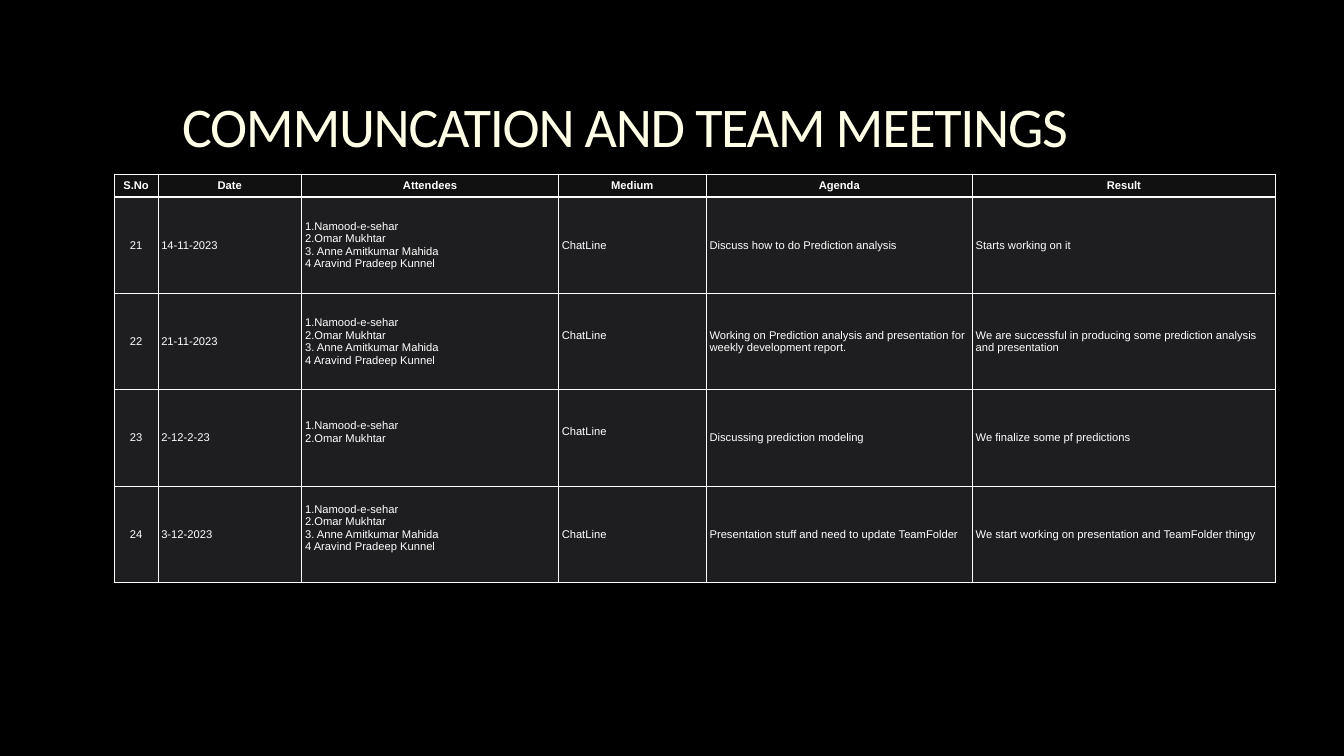
from lxml import etree
from pptx import Presentation, util as u
from pptx.dml.color import RGBColor
from pptx.enum import text
from pptx.oxml.ns import qn

WHITE = "FFFFFF"
COLUMNS = [0.65, 2.14, 3.82, 2.2, 3.96, 4.51]
HEADINGS = ["S.No", "Date", "Attendees", "Medium", "Agenda", "Result"]
PAIR = "1.Namood-e-sehar\n2.Omar Mukhtar"
TEAM = PAIR + "\n3. Anne Amitkumar Mahida\n4 Aravind Pradeep Kunnel"
MEDIUM = "ChatLine"
MEETINGS = [
    ["21", "14-11-2023", TEAM, MEDIUM, "Discuss how to do Prediction analysis",
     "Starts working on it"],
    ["22", "21-11-2023", TEAM, MEDIUM,
     "Working on Prediction analysis and presentation for weekly development report.",
     "We are successful in producing some prediction analysis and presentation"],
    ["23", "2-12-2-23", PAIR, MEDIUM, "Discussing prediction modeling",
     "We finalize some pf predictions"],
    ["24", "3-12-2023", TEAM, MEDIUM, "Presentation stuff and need to update TeamFolder",
     "We start working on presentation and TeamFolder thingy"],
]
RAISED_CELLS = {(2, 3), (3, 2), (3, 3), (4, 2)}


def colour(value):
    """Turn a hex string into a colour."""
    return RGBColor.from_string(value)


def style_font(font, name, size, value, bold=False):
    """Set the face, size, colour and weight of a font."""
    font.name, font.size, font.bold = name, u.Pt(size), bold
    font.color.rgb = colour(value)


def add_title(page, left, top, width, height):
    """Place the heading in the given box."""
    box = page.shapes.add_textbox(*map(u.Inches, (left, top, width, height)))
    frame = box.text_frame
    frame.word_wrap = True
    frame.margin_left = frame.margin_right = frame.margin_top = frame.margin_bottom = 0
    frame.text = "COMMUNCATION AND TEAM MEETINGS"
    para = frame.paragraphs[0]
    para.line_spacing = u.Pt(144)
    span = para.runs[0]
    style_font(span.font, "Calibri", 60, "FFFEE6")
    span.font._element.set("spc", "-140")


def set_borders(cell, bottom):
    """Draw white lines round a cell, with its own bottom width in points."""
    properties = cell._tc.get_or_add_tcPr()
    for side, width in (("L", 1), ("R", 1), ("T", 1), ("B", bottom)):
        line = etree.SubElement(properties, qn(f"a:ln{side}"), w=str(u.Pt(width)))
        fill = etree.SubElement(line, qn("a:solidFill"))
        etree.SubElement(fill, qn("a:srgbClr"), val=WHITE)


def fill_cell(cell, words, header, centred, raised):
    """Write and format one cell of the meeting log."""
    set_borders(cell, 3 if header else 1)
    cell.fill.solid()
    cell.fill.fore_color.rgb = colour("111112" if header else "1E1E20")
    cell.vertical_anchor = text.MSO_ANCHOR.MIDDLE
    cell.margin_left = cell.margin_right = u.Inches(0 if header else 0.05)
    cell.margin_top = cell.margin_bottom = u.Inches(0 if header else 0.02)
    if raised:
        cell.margin_bottom = u.Inches(0.2)
    cell.text_frame.text = words
    for para in cell.text_frame.paragraphs:
        para.alignment = text.PP_ALIGN.CENTER if centred else text.PP_ALIGN.LEFT
        for span in para.runs:
            style_font(span.font, "Arial", 12, WHITE, header)


def add_meeting_table(page, left, top, width, height):
    """Place the meeting log in the given box."""
    rows = [HEADINGS] + MEETINGS
    frame = page.shapes.add_table(len(rows), len(HEADINGS),
                                  *map(u.Inches, (left, top, width, height)))
    table = frame.table
    for column, share in zip(table.columns, COLUMNS):
        column.width = u.Inches(width * share / sum(COLUMNS))
    header_height = 0.34
    for number, (row, entries) in enumerate(zip(table.rows, rows)):
        header = number == 0
        row.height = u.Inches(
            header_height if header else (height - header_height) / len(MEETINGS))
        for place, (cell, words) in enumerate(zip(row.cells, entries)):
            fill_cell(cell, words, header, header or place == 0,
                      (number, place) in RAISED_CELLS)


def main():
    """Build the deck and save it."""
    deck = Presentation()
    deck.slide_width, deck.slide_height = u.Inches(20), u.Inches(11.25)
    page = deck.slides.add_slide(deck.slide_layouts[6])
    page.background.fill.solid()
    page.background.fill.fore_color.rgb = colour("000000")
    add_title(page, 2.71, 0.36, 14.59, 1.73)
    add_meeting_table(page, 1.7, 2.59, 17.28, 6.08)
    deck.save("out.pptx")


if __name__ == "__main__":
    main()
